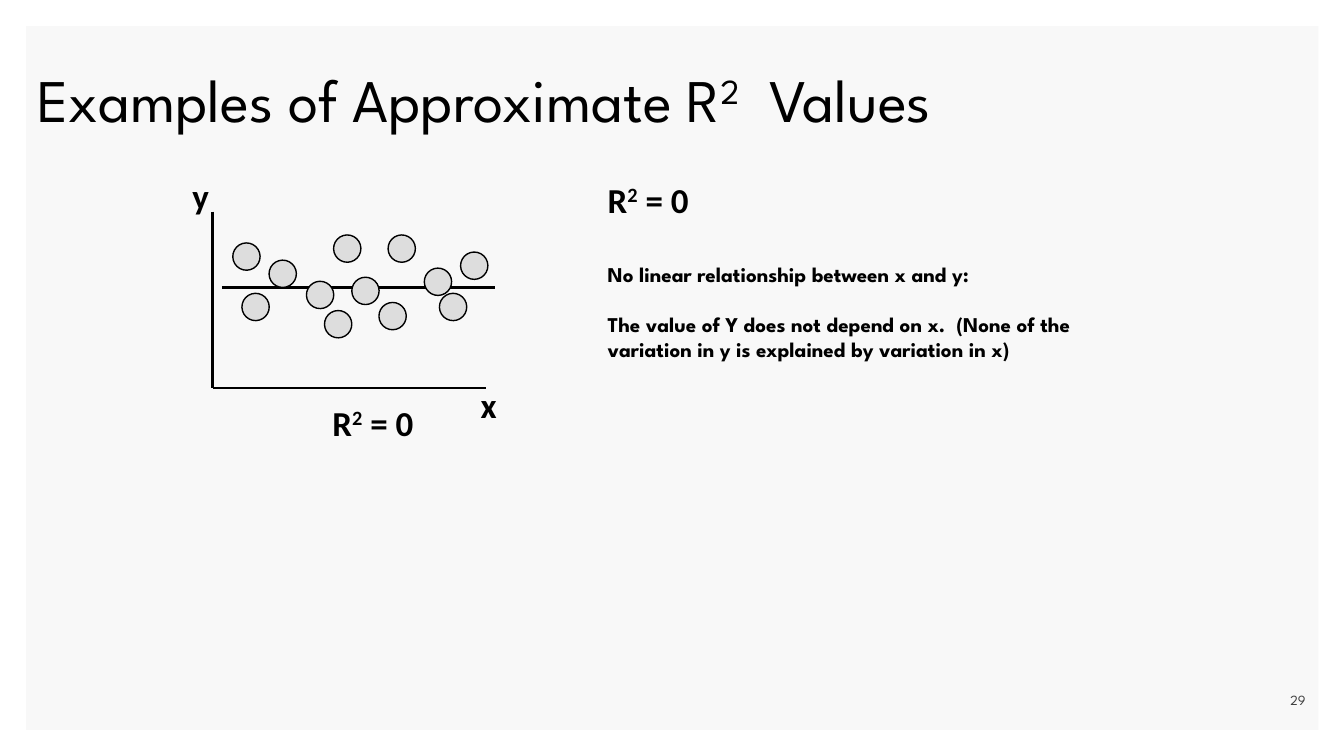
from typing import NamedTuple

from lxml.etree import SubElement
from pptx import Presentation
from pptx.dml.color import RGBColor
from pptx.enum.shapes import MSO_CONNECTOR, MSO_SHAPE
from pptx.enum.text import MSO_ANCHOR, PP_ALIGN
from pptx.oxml.ns import qn
from pptx.slide import Slide
from pptx.util import Pt

BLACK = RGBColor(0x00, 0x00, 0x00)
DARK_GRAY = RGBColor(0x40, 0x40, 0x40)
DOT_GRAY = RGBColor(0xDD, 0xDD, 0xDD)
PANEL_GRAY = RGBColor(0xF8, 0xF8, 0xF8)
HEADING_FONT = "League Spartan"
LABEL_FONT = "Calibri"
DOT_SIZE = 19.5


class Box(NamedTuple):
    left: float
    top: float
    width: float
    height: float


class Segment(NamedTuple):
    start_x: float
    start_y: float
    end_x: float
    end_y: float


class Dot(NamedTuple):
    left: float
    top: float


class Label(NamedTuple):
    text: str
    box: Box
    align: PP_ALIGN = PP_ALIGN.LEFT


SEGMENTS = [
    Segment(151.9, 151.2, 151.9, 277.2),  # y axis
    Segment(151.9, 277.2, 347, 277.2),  # x axis
    Segment(158.4, 205.2, 353.5, 205.2),  # flat regression line
]

DOTS = [
    Dot(166.3, 173.5), Dot(172.8, 209.5), Dot(192.2, 185.8), Dot(218.9, 200.9),
    Dot(231.8, 221.8), Dot(238.3, 167.8), Dot(251.3, 198), Dot(270.7, 216),
    Dot(277.2, 167.8), Dot(303.1, 191.5), Dot(313.9, 209.5), Dot(329, 180),
]

LABELS = [
    Label("y", Box(130.3, 121, 27.4, 38.2)),
    Label("x", Box(336.2, 270.7, 26.6, 38.2)),
    Label("R^2^ = 0", Box(227.5, 283, 74.9, 38.2), PP_ALIGN.RIGHT),
    Label("R^2^ = 0", Box(427, 123.8, 74.9, 38.2)),
]


def add_text(slide: Slide, text: str, box: Box, *, size: float, font: str = HEADING_FONT,
             color: RGBColor = BLACK, bold: bool = False, wrap: bool = True,
             align: PP_ALIGN = PP_ALIGN.LEFT, anchor: MSO_ANCHOR = MSO_ANCHOR.TOP,
             line_spacing: float = 1.0, gap: float = 0) -> None:
    """Add one paragraph per line of text; text between carets is superscript."""
    shape = slide.shapes.add_textbox(*map(Pt, box))
    frame = shape.text_frame
    frame.word_wrap = wrap
    frame.vertical_anchor = anchor
    for index, line in enumerate(text.split("\n")):
        paragraph = frame.add_paragraph() if index else frame.paragraphs[0]
        paragraph.alignment = align
        paragraph.line_spacing = line_spacing
        paragraph.space_before = Pt(gap if index else 0)
        for position, part in enumerate(line.split("^")):
            run = paragraph.add_run()
            run.text = part
            run.font.name = font
            run.font.size = Pt(size)
            run.font.bold = bold
            run.font.color.rgb = color
            if position % 2:
                properties = list(shape.element.iter(qn("a:rPr")))[-1]
                properties.set("baseline", "30000")


def add_panel(slide: Slide, box: Box) -> None:
    panel = slide.shapes.add_shape(MSO_SHAPE.RECTANGLE, *map(Pt, box))
    panel.shadow.inherit = False
    panel.fill.solid()
    panel.fill.fore_color.rgb = PANEL_GRAY
    panel.line.fill.background()


def add_segment(slide: Slide, segment: Segment) -> None:
    connector = slide.shapes.add_connector(MSO_CONNECTOR.STRAIGHT, *map(Pt, segment))
    connector.line.color.rgb = BLACK
    connector.line.width = Pt(2)
    SubElement(connector.element.spPr, qn("a:effectLst"))


def add_dot(slide: Slide, dot: Dot) -> None:
    circle = slide.shapes.add_shape(
        MSO_SHAPE.OVAL, Pt(dot.left), Pt(dot.top), Pt(DOT_SIZE), Pt(DOT_SIZE))
    circle.shadow.inherit = False
    circle.rotation = 238.6
    circle.fill.solid()
    circle.fill.fore_color.rgb = DOT_GRAY
    circle.line.color.rgb = BLACK
    circle.line.width = Pt(1)


def main() -> None:
    presentation = Presentation()
    presentation.slide_width = Pt(960)
    presentation.slide_height = Pt(540)
    slide = presentation.slides.add_slide(presentation.slide_layouts[6])

    # Background panel and title
    add_panel(slide, Box(18.7, 18.7, 923, 502.6))
    add_text(slide, "Examples of Approximate R^2^  Values", Box(19.4, 19.4, 792, 108),
             size=43.2, anchor=MSO_ANCHOR.MIDDLE, line_spacing=0.9)

    # Scatter plot
    for segment in SEGMENTS:
        add_segment(slide, segment)
    for dot in DOTS:
        add_dot(slide, dot)
    for label in LABELS:
        add_text(slide, label.text, label.box, size=25, font=LABEL_FONT, bold=True,
                 wrap=False, align=label.align)

    # Explanation
    add_text(slide, "No linear relationship between x and y:\n"
             "The value of Y does not depend on x.  (None of the variation in y "
             "is explained by variation in x)",
             Box(427, 183.6, 384.5, 80.6), size=15, bold=True, gap=17)

    # Page number
    add_text(slide, "29", Box(824.4, 489, 115.2, 21.6), size=10, color=DARK_GRAY,
             align=PP_ALIGN.RIGHT, anchor=MSO_ANCHOR.MIDDLE)

    presentation.save("out.pptx")


if __name__ == "__main__":
    main()
